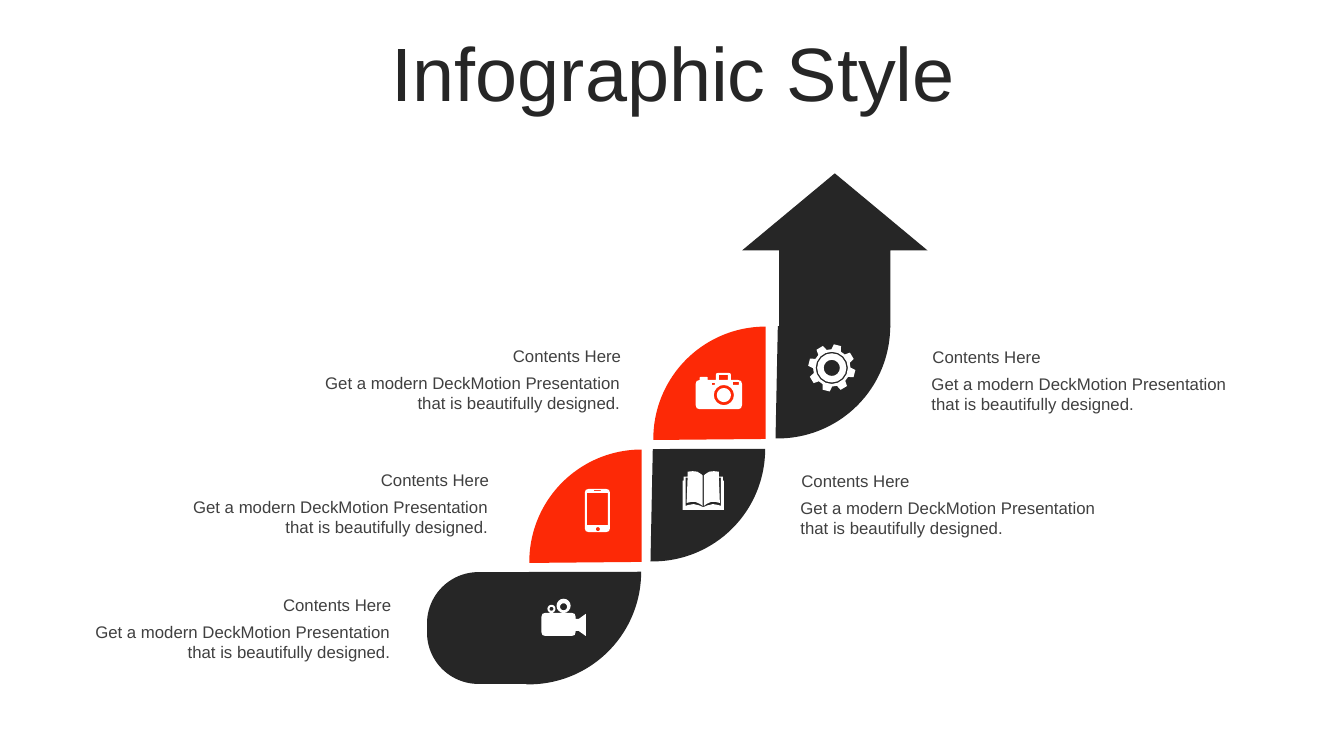
import math
from dataclasses import dataclass

import pptx
import pptx.dml.color
import pptx.enum.shapes
import pptx.enum.text
import pptx.util

PX = 9144  # EMU per px, 100 px to the inch
FONT = "Arial"
COLORS = {"dark": "262626", "red": "FD2906", "text": "404040", "icon": "FFFFFF"}
HEADING = "Contents Here"
BODY = "Get a modern DeckMotion Presentation that is beautifully designed."

SHAPE = pptx.enum.shapes.MSO_SHAPE
ALIGN = pptx.enum.text.PP_ALIGN
Contour = list[tuple[float, float]]
UPPER_LEFT = (107.68, 162)  # quarter-pie angles, 0.6 per degree
LOWER_RIGHT = (215.93, 54.69)


@dataclass(frozen=True)
class Segment:
    kind: SHAPE
    left: int
    top: int
    width: int
    height: int
    color: str
    adjustments: tuple[float, ...]
    rotation: int = 0


@dataclass(frozen=True)
class Caption:
    left: int
    top: int
    align: ALIGN


def rgb(name: str) -> pptx.dml.color.RGBColor:
    return pptx.dml.color.RGBColor.from_string(COLORS[name])


def px(*lengths: int) -> list[pptx.util.Emu]:
    return [pptx.util.Emu(length * PX) for length in lengths]


def paint(shape, color: str) -> None:
    shape.shadow.inherit = False
    shape.fill.solid()
    shape.fill.fore_color.rgb = rgb(color)
    shape.line.fill.background()


def write(frame, text: str, size: int, color: str, align: ALIGN) -> None:
    paragraph = frame.paragraphs[0]
    paragraph.alignment = align
    run = paragraph.add_run()
    run.text = text
    run.font.name = FONT
    run.font.size = pptx.util.Pt(size)
    run.font.color.rgb = rgb(color)


def draw_segment(slide, segment: Segment) -> None:
    box = px(segment.left, segment.top, segment.width, segment.height)
    shape = slide.shapes.add_shape(segment.kind, *box)
    for index, value in enumerate(segment.adjustments):
        shape.adjustments[index] = value
    shape.rotation = segment.rotation
    paint(shape, segment.color)


def draw_text(slide, left: int, top: int, height: int, text: str, align: ALIGN) -> None:
    frame = slide.shapes.add_textbox(*px(left, top, 335, height)).text_frame
    frame.word_wrap = True
    write(frame, text, 12, "text", align)


def draw_caption(slide, caption: Caption) -> None:
    draw_text(slide, caption.left - 1, caption.top + 27, 50, BODY, caption.align)
    draw_text(slide, caption.left, caption.top, 30, HEADING, caption.align)


# Icon outlines
def circle(x: float, y: float, radius: float) -> Contour:
    angles = [math.tau * step / 16 for step in range(16)]
    return [(x + radius * math.cos(a), y + radius * math.sin(a)) for a in angles]


def outline(*corners: tuple[int, ...]) -> Contour:
    """Polygon of (x, y) or (x, y, radius) corners."""
    points: Contour = []
    for index, (x, y, *rounding) in enumerate(corners):
        if not rounding:
            points.append((x, y))
            continue
        ends = []
        for neighbour in (corners[index - 1], corners[(index + 1) % len(corners)]):
            dx, dy = neighbour[0] - x, neighbour[1] - y
            share = rounding[0] / math.hypot(dx, dy)
            ends.append((x + dx * share, y + dy * share))
        (x0, y0), (x1, y1) = ends
        for t in (0, 0.5, 1):
            a, b, c = (1 - t) ** 2, 2 * t * (1 - t), t * t
            points.append((a * x0 + b * x + c * x1, a * y0 + b * y + c * y1))
    return points


def box(left: int, top: int, right: int, bottom: int, radius: int = 0) -> Contour:
    rounding = (radius,) if radius else ()
    corners = ((left, top), (right, top), (right, bottom), (left, bottom))
    return outline(*(corner + rounding for corner in corners))


def gear_teeth(x: int, y: int) -> Contour:
    points: Contour = []
    for tooth in range(8):
        for offset, radius in ((-15, 18.5), (-9, 23.5), (9, 23.5), (15, 18.5)):
            angle = math.radians(14 + 45 * tooth + offset)
            points.append((x + radius * math.sin(angle), y - radius * math.cos(angle)))
    return points


def open_book() -> Contour:
    right_page = (
        (698, 503), (707, 499, 6), (715, 502), (715, 474), (713, 474), (714, 499),
        (705, 497, 5), (698, 502), (698, 472), (703, 467, 5), (713, 468),
        (713, 473), (717, 473), (717, 477), (718, 477), (718, 506),
    )
    left_page = tuple((1395 - x, *rest) for x, *rest in reversed(right_page))
    return outline(*right_page, *left_page)


def draw_icon(slide, contours: list[Contour]) -> None:
    scaled = [[(x * PX, y * PX) for x, y in contour] for contour in contours]
    builder = slide.shapes.build_freeform(*scaled[0][0])
    for index, points in enumerate(scaled):
        if index:
            builder.move_to(*points[0])
        builder.add_line_segments(points[1:], close=True)
    paint(builder.convert_to_shape(), "icon")


SEGMENTS = [
    Segment(SHAPE.PIE, 525, 446, 223, 223, "red", UPPER_LEFT),
    Segment(SHAPE.PIE, 536, 334, 223, 223, "dark", LOWER_RIGHT),
    Segment(SHAPE.PIE, 648, 324, 223, 223, "red", UPPER_LEFT),
    Segment(SHAPE.PIE, 660, 212, 223, 223, "dark", LOWER_RIGHT),
    Segment(SHAPE.UP_ARROW, 736, 172, 184, 153, "dark", (0.6, 0.5)),
    Segment(SHAPE.PIE, 413, 456, 223, 223, "dark", LOWER_RIGHT),
    Segment(SHAPE.ROUND_2_SAME_RECTANGLE, 419, 572, 111, 102, "dark", (0.5, 0), 270),
]
GEAR = [gear_teeth(825, 365), *(circle(825, 365, radius) for radius in (16, 14.5, 8))]
CAMERA = [
    outline(
        (690, 377, 4), (694, 377), (694, 374, 1), (702, 374, 1), (702, 377),
        (710, 377), (710, 370, 2), (725, 370, 2), (725, 377),
        (736, 377, 4), (736, 406, 4), (690, 406, 4),
    ),
    circle(718, 392, 10), circle(718, 392, 7),
    box(706, 380, 709, 382), box(727, 379, 733, 382), box(713, 372, 722, 377),
]
MOVIE_CAMERA = [
    outline(
        (537, 608, 4), (571, 608, 4), (571, 614), (574, 614), (581, 609),
        (581, 631), (574, 626), (571, 626), (571, 631, 4), (537, 631, 4),
    ),
    circle(547, 604, 4), circle(547, 604, 2), circle(559, 601, 7), circle(559, 602, 3.5),
]
PHONE = [
    box(580, 485, 605, 528, 4), box(582, 489, 603, 521),
    box(589, 486, 596, 487), circle(593, 525, 2),
]
CAPTIONS = [
    Caption(63, 585, ALIGN.RIGHT),
    Caption(160, 461, ALIGN.RIGHT),
    Caption(291, 338, ALIGN.RIGHT),
    Caption(785, 462, ALIGN.LEFT),
    Caption(915, 339, ALIGN.LEFT),
]


def main() -> None:
    deck = pptx.Presentation()
    deck.slide_width, deck.slide_height = px(1333, 750)
    slide = deck.slides.add_slide(deck.slide_layouts[5])

    # Title
    title = slide.shapes.title
    title.left, title.top, title.width, title.height = px(35, 37, 1266, 79)
    title.text_frame.vertical_anchor = pptx.enum.text.MSO_ANCHOR.MIDDLE
    title.text_frame.paragraphs[0].line_spacing = 0.9
    write(title.text_frame, "Infographic Style", 54, "dark", ALIGN.CENTER)

    # Rising arrow, its icons and captions
    for segment in SEGMENTS:
        draw_segment(slide, segment)
    for icon in (GEAR, CAMERA, MOVIE_CAMERA, [open_book()], PHONE):
        draw_icon(slide, icon)
    for caption in CAPTIONS:
        draw_caption(slide, caption)

    deck.save("out.pptx")


if __name__ == "__main__":
    main()
